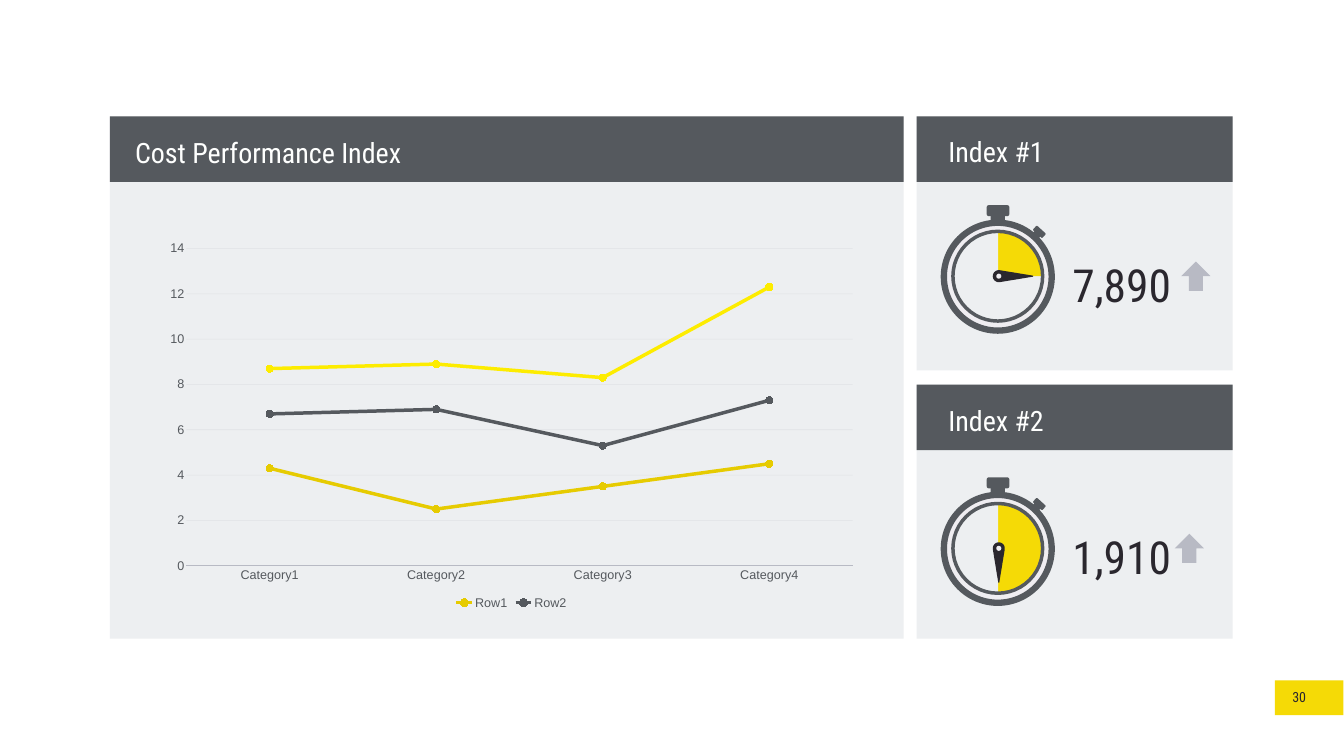
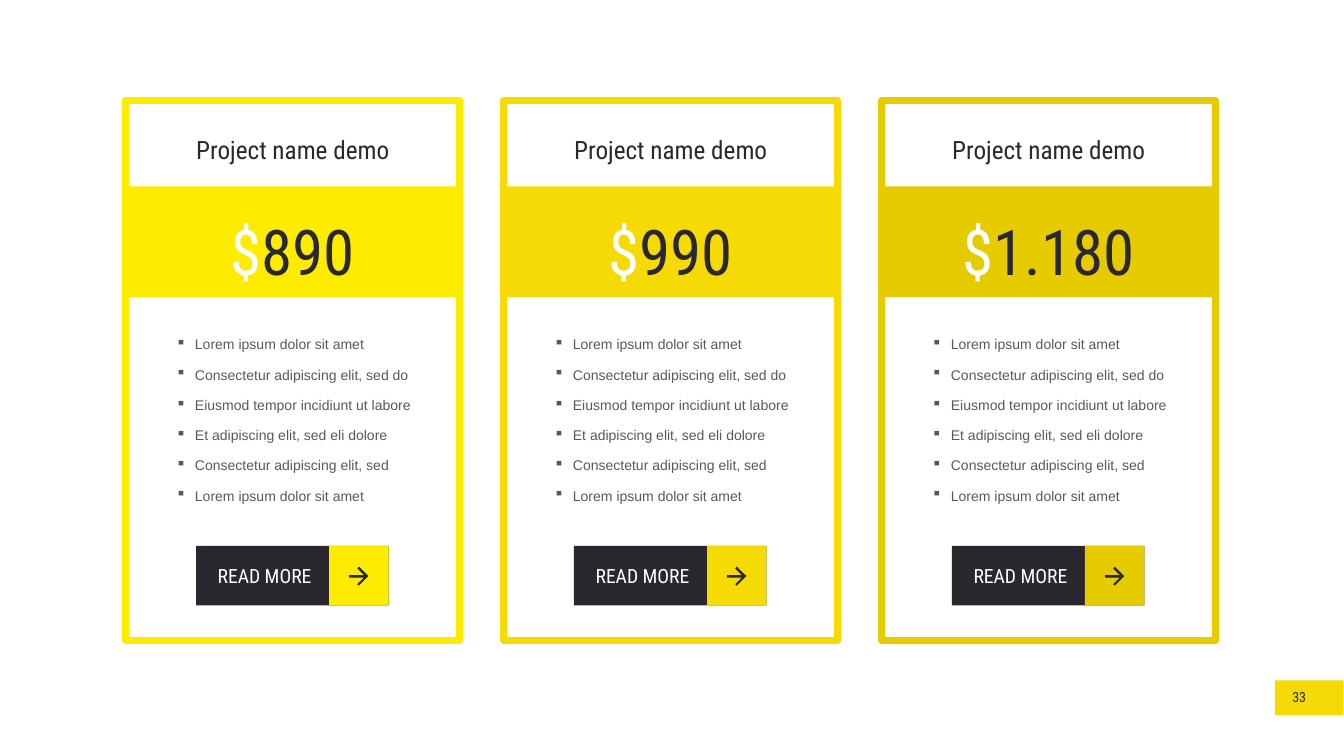
import math

from lxml import etree
from pptx import Presentation
from pptx.chart.data import CategoryChartData
from pptx.dml.color import RGBColor
from pptx.enum.chart import XL_CHART_TYPE, XL_LEGEND_POSITION, XL_MARKER_STYLE, XL_TICK_MARK
from pptx.enum.shapes import MSO_SHAPE
from pptx.enum.text import MSO_ANCHOR, PP_ALIGN
from pptx.oxml import parse_xml
from pptx.oxml.ns import nsdecls, qn
from pptx.util import Inches, Pt

RECT, ROUND, OVAL = MSO_SHAPE.RECTANGLE, MSO_SHAPE.ROUNDED_RECTANGLE, MSO_SHAPE.OVAL
LEFT, CENTER, RIGHT = PP_ALIGN.LEFT, PP_ALIGN.CENTER, PP_ALIGN.RIGHT
MIDDLE = MSO_ANCHOR.MIDDLE
NO_TICK = XL_TICK_MARK.NONE
LINES, PIE = XL_CHART_TYPE.LINE_MARKERS_STACKED, XL_CHART_TYPE.PIE
DOT, BOTTOM = XL_MARKER_STYLE.CIRCLE, XL_LEGEND_POSITION.BOTTOM

WHITE = RGBColor(0xFE, 0xFF, 0xFE)
INK = RGBColor(0x2A, 0x27, 0x2E)
SLATE = RGBColor(0x55, 0x59, 0x5E)
SILVER = RGBColor(0xB8, 0xBA, 0xC4)
PANEL = RGBColor(0xED, 0xEF, 0xF1)
DIAL = RGBColor(0xEF, 0xED, 0xF1)
LEMON = RGBColor(0xFD, 0xEC, 0x00)
YELLOW = RGBColor(0xF5, 0xDA, 0x06)
MUSTARD = RGBColor(0xE6, 0xCB, 0x01)

HEAD_FONT, BODY_FONT = "Roboto Condensed", "Arial"
TIGHT = (0.04, 0.04, 0.04, 0.04)

FEATURES = [
    "Lorem ipsum dolor sit amet",
    "Consectetur adipiscing elit, sed do",
    "Eiusmod tempor incidiunt ut labore",
    "Et adipiscing elit, sed eli dolore",
    "Consectetur adipiscing elit, sed",
    "Lorem ipsum dolor sit amet",
]
UP_ARROW = [(0.15, 0.29), (0, 0.29), (0.29, 0), (0.58, 0.29),
            (0.43, 0.29), (0.43, 0.58), (0.15, 0.58)]
NEXT_ARROW = [(0.19, 0), (0.16, 0.04), (0.29, 0.17), (0, 0.17), (0, 0.22),
              (0.29, 0.22), (0.16, 0.35), (0.19, 0.38), (0.38, 0.19)]
CLOCK_NECK = [(-0.14, -1.27), (0.14, -1.27), (0.14, -1.09), (0, -1.1), (-0.14, -1.09)]
BUTTON_NECK = [(0.75, -0.93), (0.87, -0.82), (0.8, -0.75), (0.74, -0.81), (0.68, -0.85)]


def needle_outline(share):
    """Points of a clock hand around its pivot, turned by a share of the full circle."""
    hub = [(0.12 * math.cos(math.radians(a)), -0.12 * math.sin(math.radians(a)))
           for a in range(-10, 191, 20)]
    turn = math.radians(share * 360 - 180)
    return [(x * math.cos(turn) - y * math.sin(turn), x * math.sin(turn) + y * math.cos(turn))
            for x, y in [(0.01, 0.68)] + hub + [(-0.01, 0.68)]]


class Deck:
    """Holds the presentation, its style and the current page."""

    def __init__(self):
        self.show = Presentation()
        self.show.slide_width, self.show.slide_height = Inches(26.67), Inches(15)
        self.page = None

    def new_page(self, number):
        self.page = self.show.slides.add_slide(self.show.slide_layouts[6])
        self.shape(RECT, 25.3, 13.5, 1.36, 0.69, YELLOW)
        self.text(25.3, 13.63, 0.66, 0.42, [(number, INK)], 20, RIGHT, 1)

    def paint(self, shape, fill, line=None, weight=0):
        shape.shadow.inherit = False
        if fill is None:
            shape.fill.background()
        else:
            shape.fill.solid()
            shape.fill.fore_color.rgb = fill
        if line is None:
            shape.line.fill.background()
        else:
            shape.line.color.rgb = line
            shape.line.width = Pt(weight)
        return shape

    def shape(self, kind, left, top, width, height, fill, line=None, weight=0):
        box = self.page.shapes.add_shape(
            kind, Inches(left), Inches(top), Inches(width), Inches(height))
        return self.paint(box, fill, line, weight)

    def outline(self, left, top, points, fill):
        """Closed polygon whose points are measured from (left, top)."""
        places = [(Inches(left + x), Inches(top + y)) for x, y in points]
        builder = self.page.shapes.build_freeform(*places[0])
        builder.add_line_segments(places[1:], close=True)
        return self.paint(builder.convert_to_shape(), fill)

    def set_frame(self, frame, insets):
        frame.word_wrap = True
        (frame.margin_left, frame.margin_top,
         frame.margin_right, frame.margin_bottom) = map(Inches, insets)

    def add_spans(self, para, spans, size, font=HEAD_FONT, align=LEFT, spacing=1.2):
        para.alignment, para.line_spacing = align, spacing
        for words, color in spans:
            span = para.add_run()
            span.text = words
            span.font.name, span.font.size = font, Pt(size)
            span.font.color.rgb = color

    def text_frame(self, left, top, width, height, insets):
        box = self.page.shapes.add_textbox(
            Inches(left), Inches(top), Inches(width), Inches(height))
        self.set_frame(box.text_frame, insets)
        return box.text_frame

    def text(self, left, top, width, height, spans, size, align=LEFT, spacing=1.2):
        frame = self.text_frame(left, top, width, height, TIGHT)
        self.add_spans(frame.paragraphs[0], spans, size, align=align, spacing=spacing)

    def bullets(self, left, top, width, height, items):
        frame = self.text_frame(left, top, width, height, (0.1, 0.05, 0.1, 0.05))
        for index, item in enumerate(items):
            para = frame.add_paragraph() if index else frame.paragraphs[0]
            self.add_spans(para, [(item, SLATE)], 20, BODY_FONT, spacing=1.8)
            props = para._p.get_or_add_pPr()
            props.set("marL", str(Inches(0.38)))
            props.set("indent", str(-Inches(0.38)))
            color = etree.SubElement(props, qn("a:buClr"))
            etree.SubElement(color, qn("a:srgbClr")).set("val", str(SLATE))
            etree.SubElement(props, qn("a:buChar")).set("char", "▪")

    def chart(self, kind, left, top, width, height, categories, series):
        data = CategoryChartData()
        data.categories = categories
        for name, values in series:
            data.add_series(name, values)
        chart = self.page.shapes.add_chart(
            kind, Inches(left), Inches(top), Inches(width), Inches(height), data).chart
        chart.has_title = chart.has_legend = False
        self.style_font(chart.font)
        return chart

    def style_font(self, font):
        font.name, font.size = BODY_FONT, Pt(18)
        font.color.rgb = SLATE

    def line_chart(self, left, top, width, height, categories, series):
        """Stacked lines; each series is name, values, colour. Only two appear in the legend."""
        chart = self.chart(LINES, left, top, width, height,
                           categories, [(name, values) for name, values, _ in series])
        plot = chart.plots[0]
        plot.vary_by_categories = False
        for line, (_, _, color) in zip(plot.series, series):
            line.smooth = False
            line.format.line.color.rgb = color
            line.format.line.width = Pt(5)
            line.marker.style, line.marker.size = DOT, 10
            line.marker.format.fill.solid()
            line.marker.format.fill.fore_color.rgb = color
            line.marker.format.line.color.rgb = color

        for axis in (chart.category_axis, chart.value_axis):
            axis.major_tick_mark = axis.minor_tick_mark = NO_TICK
            self.style_font(axis.tick_labels.font)
        chart.value_axis.format.line.fill.background()
        chart.value_axis.has_major_gridlines = True
        grid = chart.value_axis.major_gridlines
        for rule in (chart.category_axis, grid):
            rule.format.line.color.rgb = SILVER
            rule.format.line.width = Pt(0.75)
        tint = chart.value_axis._element.find(qn("c:majorGridlines")).find(
            ".//" + qn("a:srgbClr"))
        etree.SubElement(tint, qn("a:alpha")).set("val", "25000")

        chart.has_legend = True
        chart.legend.position = BOTTOM
        chart.legend.include_in_layout = False
        self.style_font(chart.legend.font)
        hidden = parse_xml(f'<c:legendEntry {nsdecls("c")}><c:idx val="2"/>'
                           '<c:delete val="1"/></c:legendEntry>')
        chart.legend._element.find(qn("c:legendPos")).addnext(hidden)

    def pie(self, left, top, size, share):
        chart = self.chart(PIE, left, top, size, size, ["1", "2"],
                           [("Series 1", (share * 100, 100 - share * 100))])
        for index, color in enumerate((YELLOW, PANEL)):
            look = chart.plots[0].series[0].points[index].format
            look.fill.solid()
            look.fill.fore_color.rgb = color
            look.line.fill.background()
        area = chart._chartSpace.find(".//" + qn("c:plotArea"))
        for old in area.findall(qn("c:layout")):
            area.remove(old)
        places = "".join(f'<c:{tag} val="{value}"/>' for tag, value in (
            ("layoutTarget", "inner"), ("xMode", "edge"), ("yMode", "edge"),
            ("x", 0.005), ("y", 0.005), ("w", 0.99), ("h", 0.99)))
        area.insert(0, parse_xml(f'<c:layout {nsdecls("c")}><c:manualLayout>{places}'
                                 '</c:manualLayout></c:layout>'))

    def panel(self, left, top, width, height, title, title_left, title_top, title_width):
        self.shape(RECT, left, top, width, height, PANEL)
        self.shape(RECT, left, top, width, 1.3, SLATE)
        self.text(title_left, title_top, title_width, 0.83, [(title, WHITE)], 40)

    def stopwatch(self, x, y, share):
        """Stopwatch centred on (x, y) with the given share of its dial filled."""
        self.shape(OVAL, x - 1.07, y - 1.07, 2.14, 2.14, DIAL, SLATE, 9)
        self.pie(x - 0.91, y - 0.92, 1.83, share)
        self.outline(x + 0.02, y - 0.01, needle_outline(share), INK)
        self.shape(OVAL, x - 0.03, y - 0.06, 0.1, 0.1, DIAL)
        self.outline(x, y, CLOCK_NECK, SLATE)
        self.shape(ROUND, x - 0.22, y - 1.42, 0.45, 0.22, SLATE).adjustments[0] = 0.2
        self.outline(x, y, BUTTON_NECK, SLATE)
        knob = self.shape(ROUND, x + 0.7, y - 0.95, 0.25, 0.12, SLATE)
        knob.adjustments[0] = 0.2
        knob.rotation = 42.2
        self.shape(OVAL, x - 0.89, y - 0.9, 1.78, 1.78, None, SLATE, 5)

    def index_card(self, top, title, title_top, clock_y, share, value, arrow_left):
        self.panel(18.19, top, 6.27, 5.04, title, 18.78, title_top, 5.25)
        self.stopwatch(19.8, clock_y, share)
        self.text(21.24, clock_y - 0.65, 2.14, 1.3, [(value, INK)], 65)
        self.outline(arrow_left, clock_y - 0.3, UP_ARROW, SILVER)

    def price_card(self, left, color, price):
        self.shape(RECT, left, 3.7, 6.63, 2.19, color)
        self.text(left + 0.45, 2.51, 5.78, 0.95, [("Project name demo", INK)], 36, CENTER)
        self.bullets(left + 0.92, 6.35, 5.49, 3.65, FEATURES)
        self.text(left + 0.26, 3.88, 6.15, 1.56, [("$", WHITE), (price, INK)], 90, CENTER)
        self.shape(RECT, left + 0.02, 1.99, 6.63, 10.71, None, color, 10)
        button = self.shape(ROUND, left + 1.42, 10.83, 3.82, 1.18, INK)
        button.adjustments[0] = 0
        self.set_frame(button.text_frame, (0.43, 0.2, 0.2, 0.2))
        button.text_frame.vertical_anchor = MIDDLE
        self.add_spans(button.text_frame.paragraphs[0], [("READ MORE", WHITE)], 28, spacing=1)
        self.shape(RECT, left + 4.06, 10.83, 1.18, 1.18, color)
        self.outline(left + 4.46, 11.24, NEXT_ARROW, INK)


def build_index_page(deck):
    deck.new_page("30")
    deck.panel(2.18, 2.31, 15.75, 10.36, "Cost Performance Index", 2.64, 2.51, 7.89)
    deck.line_chart(3.1, 4.64, 14.1, 7.51, [f"Category{n}" for n in range(1, 5)], [
        ("Row1", (4.3, 2.5, 3.5, 4.5), MUSTARD),
        ("Row2", (2.4, 4.4, 1.8, 2.8), SLATE),
        ("Row3", (2, 2, 3, 5), LEMON),
    ])
    deck.index_card(2.31, "Index #1", 2.49, 5.49, 0.25, "7,890", 23.44)
    deck.index_card(7.63, "Index #2", 7.84, 10.89, 0.5, "1,910", 23.31)


def build_price_page(deck):
    deck.new_page("33")
    offers = [(LEMON, "890"), (YELLOW, "990"), (MUSTARD, "1.180")]
    for column, (color, price) in enumerate(offers):
        deck.price_card(2.47 + 7.5 * column, color, price)


def main():
    deck = Deck()
    build_index_page(deck)
    build_price_page(deck)
    deck.show.save("out.pptx")


if __name__ == "__main__":
    main()
